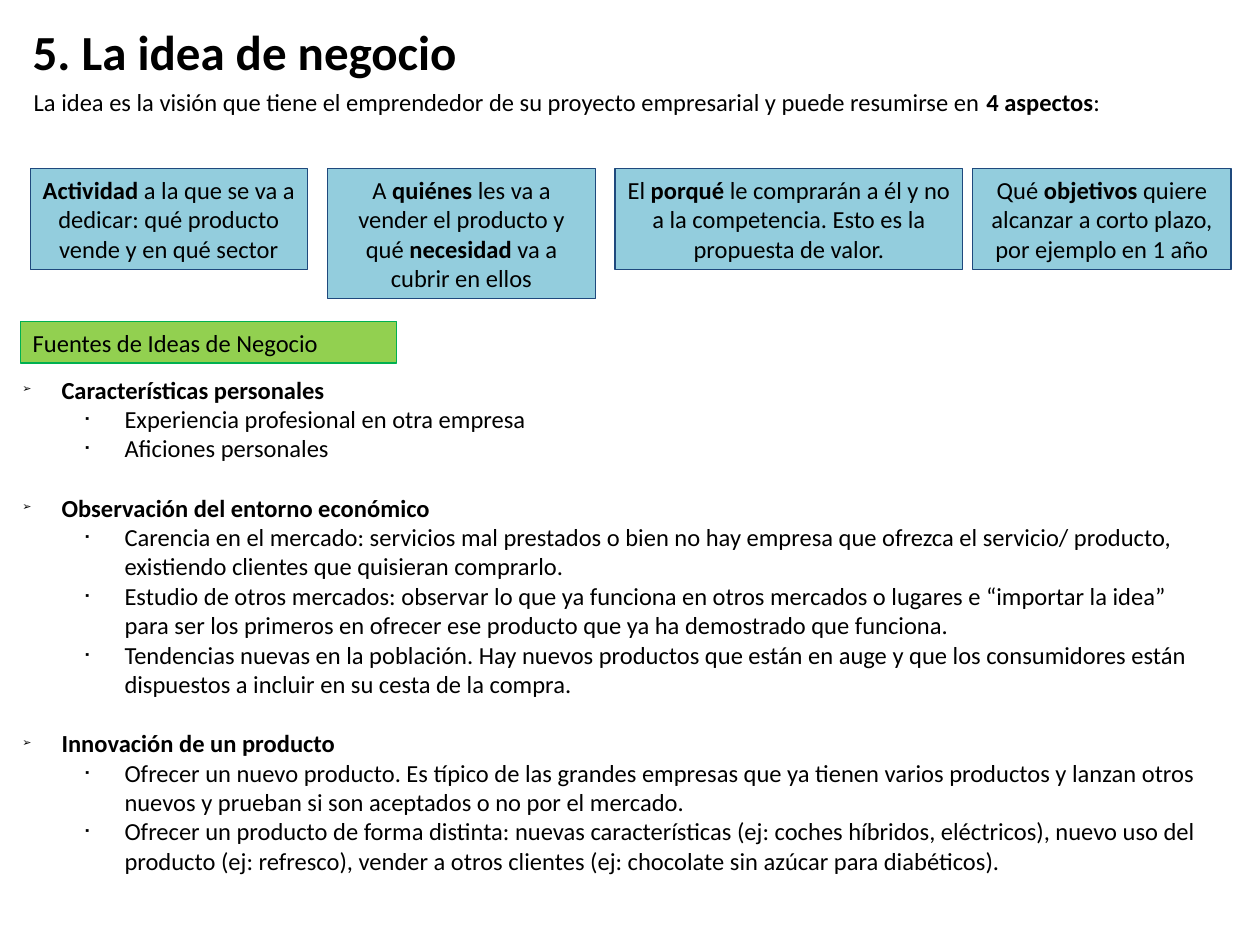
from lxml.etree import SubElement
from pptx import Presentation
from pptx.dml.color import RGBColor
from pptx.enum.shapes import MSO_SHAPE as Shape
from pptx.enum.text import MSO_ANCHOR as Anchor, MSO_AUTO_SIZE as AutoSize, PP_ALIGN as Align
from pptx.oxml.ns import qn
from pptx.util import Cm, Pt

BLACK = RGBColor(0x00, 0x00, 0x00)
SKY = RGBColor(0x93, 0xCD, 0xDD)
NAVY = RGBColor(0x1F, 0x49, 0x7D)
LIME = RGBColor(0x92, 0xD0, 0x50)
GREEN = RGBColor(0x00, 0xB0, 0x50)
FONT = "Calibri"

# Text between double asterisks is bold.
TITLE = "**5. La idea de negocio**"
INTRO = ("La idea es la visión que tiene el emprendedor de su proyecto empresarial "
         "y puede resumirse en **4 aspectos**:")
SOURCES_HEADING = "Fuentes de Ideas de Negocio"

# left, width and height in centimetres, then the text
ASPECTS = [
    (0.61, 5.59, 2.03, "**Actividad** a la que se va a dedicar: qué producto vende y en qué sector"),
    (6.60, 5.41, 2.62, "A **quiénes** les va a vender el producto y qué **necesidad** va a cubrir en ellos"),
    (12.40, 7.01, 2.03, "El **porqué** le comprarán a él y no a la competencia. Esto es la propuesta de valor."),
    (19.61, 5.21, 2.03, "Qué **objetivos** quiere alcanzar a corto plazo, por ejemplo en 1 año"),
]
ASPECTS_TOP = 3.4

SOURCES = {
    "Características personales": [
        "Experiencia profesional en otra empresa",
        "Aficiones personales",
    ],
    "Observación del entorno económico": [
        "Carencia en el mercado: servicios mal prestados o bien no hay empresa que ofrezca "
        "el servicio/ producto, existiendo clientes que quisieran comprarlo.",
        "Estudio de otros mercados: observar lo que ya funciona en otros mercados o lugares e "
        "“importar la idea” para ser los primeros en ofrecer ese producto que ya ha demostrado que funciona.",
        "Tendencias nuevas en la población. Hay nuevos productos que están en auge y que los "
        "consumidores están dispuestos a incluir en su cesta de la compra.",
    ],
    "Innovación de un producto": [
        "Ofrecer un nuevo producto. Es típico de las grandes empresas que ya tienen varios "
        "productos y lanzan otros nuevos y prueban si son aceptados o no por el mercado.",
        "Ofrecer un producto de forma distinta: nuevas características (ej: coches híbridos, "
        "eléctricos), nuevo uso del producto (ej: refresco), vender a otros clientes "
        "(ej: chocolate sin azúcar para diabéticos).",
    ],
}
BULLETS = [("➢", 0.79), ("▪", 2.06)]  # mark and indent in centimetres, by level
HANGING = 0.79
GROUP_GAP = 17


def write(para, text, size=14, align=Align.LEFT, before=0):
    para.alignment = align
    para.space_before = Pt(before)
    for index, part in enumerate(text.split("**")):
        if part:
            span = para.add_run()
            span.text = part
            span.font.name, span.font.size = FONT, Pt(size)
            span.font.bold = index % 2 == 1
            span.font.color.rgb = BLACK


def add_bullet(para, level):
    mark, indent = BULLETS[level]
    para.level = level
    props = para._p.get_or_add_pPr()
    props.set("marL", str(Cm(indent)))
    props.set("indent", str(-Cm(HANGING)))
    color = SubElement(props, qn("a:buClr"))
    SubElement(color, qn("a:srgbClr"), val=str(BLACK))
    SubElement(props, qn("a:buSzPct"), val="45000")
    SubElement(props, qn("a:buFont"), typeface=FONT)
    SubElement(props, qn("a:buChar"), char=mark)


def place(box, left, top, width, height, anchor=Anchor.TOP):
    box.left, box.top, box.width, box.height = (Cm(n) for n in (left, top, width, height))
    frame = box.text_frame
    frame.word_wrap = True
    frame.auto_size = AutoSize.NONE
    frame.vertical_anchor = anchor
    frame.margin_left = frame.margin_right = Cm(0.25)
    frame.margin_top = frame.margin_bottom = Cm(0.13)
    return frame


def add_panel(slide, text, bounds, fill, line, align):
    panel = slide.shapes.add_shape(Shape.RECTANGLE, 0, 0, 0, 0)
    panel.shadow.inherit = False
    panel.fill.solid()
    panel.fill.fore_color.rgb = fill
    panel.line.color.rgb = line
    panel.line.width = Pt(0)
    write(place(panel, *bounds).paragraphs[0], text, align=align)


def main():
    deck = Presentation()
    deck.slide_width, deck.slide_height = Cm(25.4), Cm(19.05)
    slide = deck.slides.add_slide(deck.slide_layouts[1])
    title, body = slide.placeholders

    write(place(title, 0.41, 0.23, 22.86, 1.6, Anchor.MIDDLE).paragraphs[0], TITLE, size=28)
    intro = slide.shapes.add_textbox(0, 0, 0, 0)
    write(place(intro, 0.43, 1.63, 22.63, 0.84).paragraphs[0], INTRO)

    for left, width, height, text in ASPECTS:
        add_panel(slide, text, (left, ASPECTS_TOP, width, height), SKY, NAVY, Align.CENTER)
    add_panel(slide, SOURCES_HEADING, (0.41, 6.48, 7.59, 0.84), LIME, GREEN, Align.LEFT)

    frame = place(body, 0.2, 7.42, 24.59, 10.34)
    para = frame.paragraphs[0]
    for group, (heading, ideas) in enumerate(SOURCES.items()):
        if group:
            para = frame.add_paragraph()
        write(para, f"**{heading}**", before=GROUP_GAP if group else 0)
        add_bullet(para, 0)
        for idea in ideas:
            para = frame.add_paragraph()
            write(para, idea)
            add_bullet(para, 1)

    deck.save("out.pptx")


if __name__ == "__main__":
    main()
